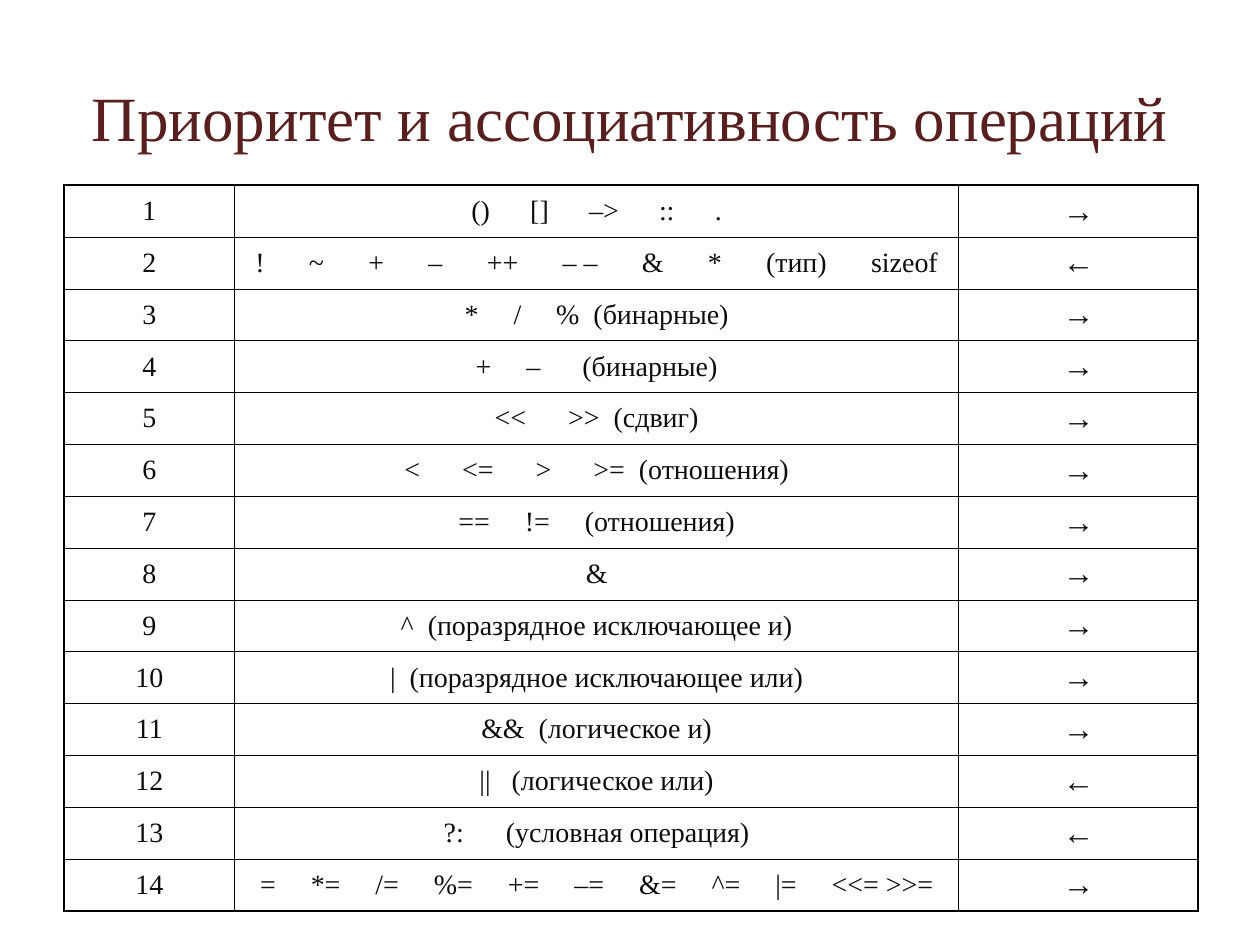
from lxml.etree import SubElement
from pptx import Presentation
from pptx.dml.color import RGBColor
from pptx.enum.text import MSO_ANCHOR as Anchor, PP_ALIGN as Align
from pptx.oxml.ns import qn
from pptx.util import Inches, Pt

COLORS = {"title": "57201F", "text": "0D0D0D", "border": "000000"}
SERIF, SANS = "Times New Roman", "Arial"
THICK, THIN = Pt(1.08), Pt(0.45)
SPACE_WIDTH = 4  # points, one space of the 16 pt serif
LEFTWARD, RIGHTWARD = "←", "→"
COLUMN_WIDTHS = [1.35, 5.75, 1.9]

# Operators, gap between them, note, gap before the note (gaps in spaces), associativity
PRECEDENCE = [
    (["()", "[]", "–>", "::", "."], 5.75, "", 0, RIGHTWARD),
    (["!", "~", "+", "–", "++", "– –", "&", "*", "(тип)", "sizeof"], 6.33, "", 0, LEFTWARD),
    (["*", "/", "%"], 5, "(бинарные)", 2, RIGHTWARD),
    (["+", "–"], 5, "(бинарные)", 6, RIGHTWARD),
    (["<<", ">>"], 6, "(сдвиг)", 2, RIGHTWARD),
    (["<", "<=", ">", ">="], 6, "(отношения)", 2, RIGHTWARD),
    (["==", "!="], 5, "(отношения)", 5, RIGHTWARD),
    (["&"], 0, "", 0, RIGHTWARD),
    (["^"], 0, "(поразрядное исключающее и)", 2, RIGHTWARD),
    (["|"], 0, "(поразрядное исключающее или)", 2, RIGHTWARD),
    (["&&"], 0, "(логическое и)", 2, RIGHTWARD),
    (["||"], 0, "(логическое или)", 3, LEFTWARD),
    (["?:"], 0, "(условная операция)", 6, LEFTWARD),
    (["=", "*=", "/=", "%=", "+=", "–=", "&=", "^=", "|=", "<<= >>="], 5, "", 0, RIGHTWARD),
]


def style_run(run, size, font=SERIF, color="text", bold=False):
    run.font.size = Pt(size)
    run.font.name = font
    run.font.bold = bold
    run.font.color.rgb = RGBColor.from_string(COLORS[color])


def add_run(paragraph, text, gap=0):
    """Add a serif run; a gap widens its single space by letter spacing."""
    run = paragraph.add_run()
    run.text = text
    style_run(run, 16)
    if gap:
        run.font._element.set("spc", str(round((gap - 1) * SPACE_WIDTH * 100)))


def fill_operators(paragraph, operators, gap, note, note_gap):
    for index, operator in enumerate(operators):
        if index:
            add_run(paragraph, " ", gap)
        add_run(paragraph, operator)
    if note:
        add_run(paragraph, " ", note_gap)
        add_run(paragraph, note)


def set_borders(cell, widths):
    properties = cell._tc.get_or_add_tcPr()
    for index, (side, width) in enumerate(widths.items()):
        line = SubElement(properties, qn(f"a:ln{side}"), w=str(width))
        fill = SubElement(line, qn("a:solidFill"))
        SubElement(fill, qn("a:srgbClr"), val=COLORS["border"])
        properties.insert(index, line)


def add_title(slide, left, top, width, height):
    title = slide.shapes.add_textbox(left, top, width, height).text_frame
    title.word_wrap = True
    title.vertical_anchor = Anchor.MIDDLE
    heading = title.paragraphs[0]
    heading.text = "Приоритет и ассоциативность операций"
    heading.alignment = Align.CENTER
    style_run(heading.runs[0], 36, color="title")


def add_precedence_table(slide, left, top, width, height):
    last_row, last_column = len(PRECEDENCE) - 1, len(COLUMN_WIDTHS) - 1
    table = slide.shapes.add_table(
        last_row + 1, last_column + 1, left, top, width, height).table
    table.first_row = table.horz_banding = False
    for column, column_width in zip(table.columns, COLUMN_WIDTHS):
        column.width = Inches(column_width)

    for r, (*operation, direction) in enumerate(PRECEDENCE):
        # Text of the three columns
        level, operators, associativity = (
            table.cell(r, c).text_frame.paragraphs[0] for c in range(last_column + 1))
        add_run(level, str(r + 1))
        fill_operators(operators, *operation)
        associativity.text = direction
        style_run(associativity.runs[0], 18, SANS, bold=True)

        # Alignment and borders, thicker around the table
        for c, paragraph in enumerate((level, operators, associativity)):
            paragraph.alignment = Align.CENTER
            paragraph.space_before = Pt(4.5 if c == last_column else 4)
            cell = table.cell(r, c)
            cell.vertical_anchor = Anchor.MIDDLE
            cell.fill.background()
            set_borders(cell, {
                "L": THICK if c == 0 else THIN,
                "R": THICK if c == last_column else THIN,
                "T": THICK if r == 0 else THIN,
                "B": THICK if r == last_row else THIN,
            })


def main():
    deck = Presentation()
    deck.slide_width, deck.slide_height = Inches(10), Inches(7.5)
    slide = deck.slides.add_slide(deck.slide_layouts[6])
    add_title(slide, Inches(0), Inches(0.3), Inches(10), Inches(1.25))
    add_precedence_table(slide, Inches(0.51), Inches(1.47), Inches(9), Inches(5.76))
    deck.save("out.pptx")


if __name__ == "__main__":
    main()
